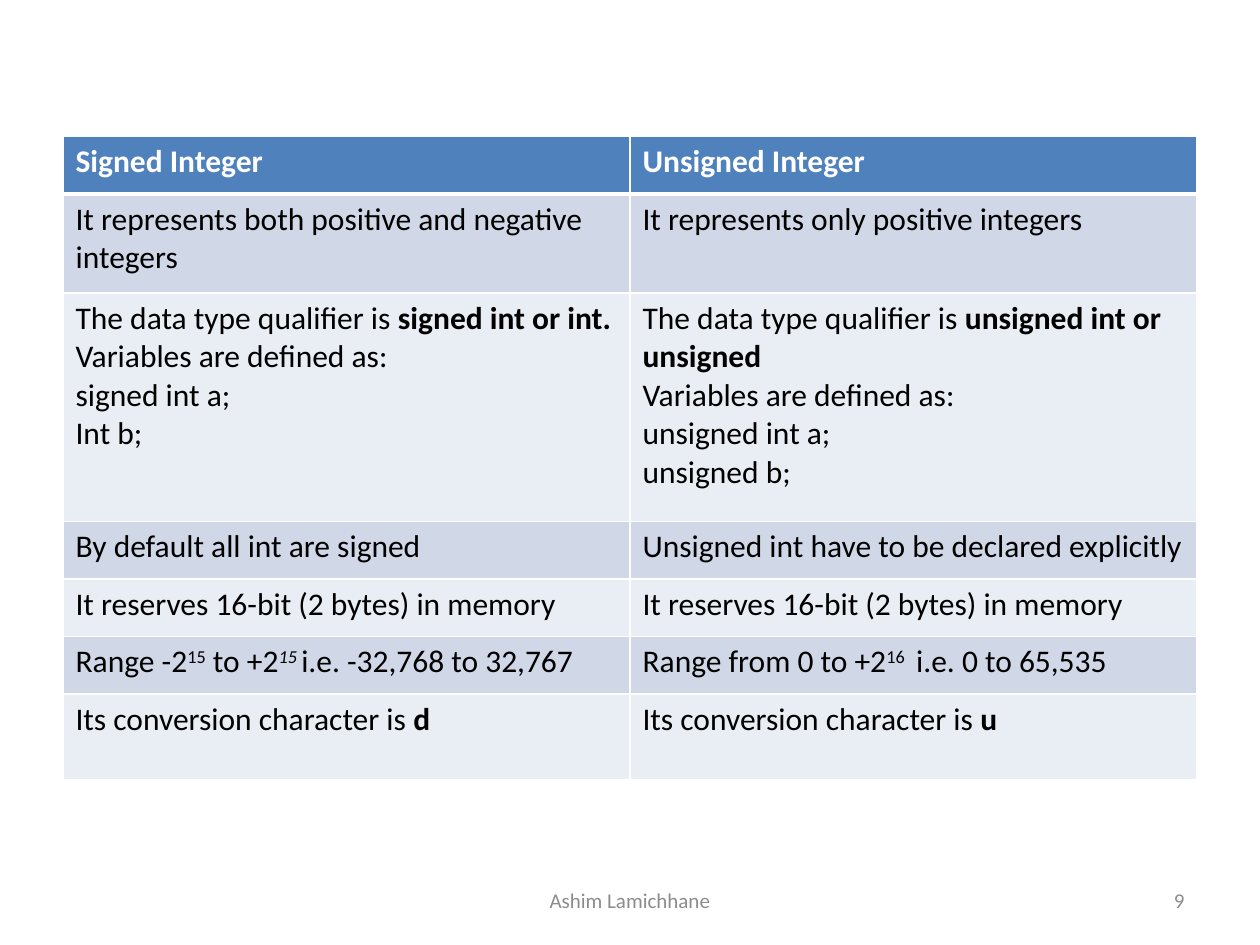
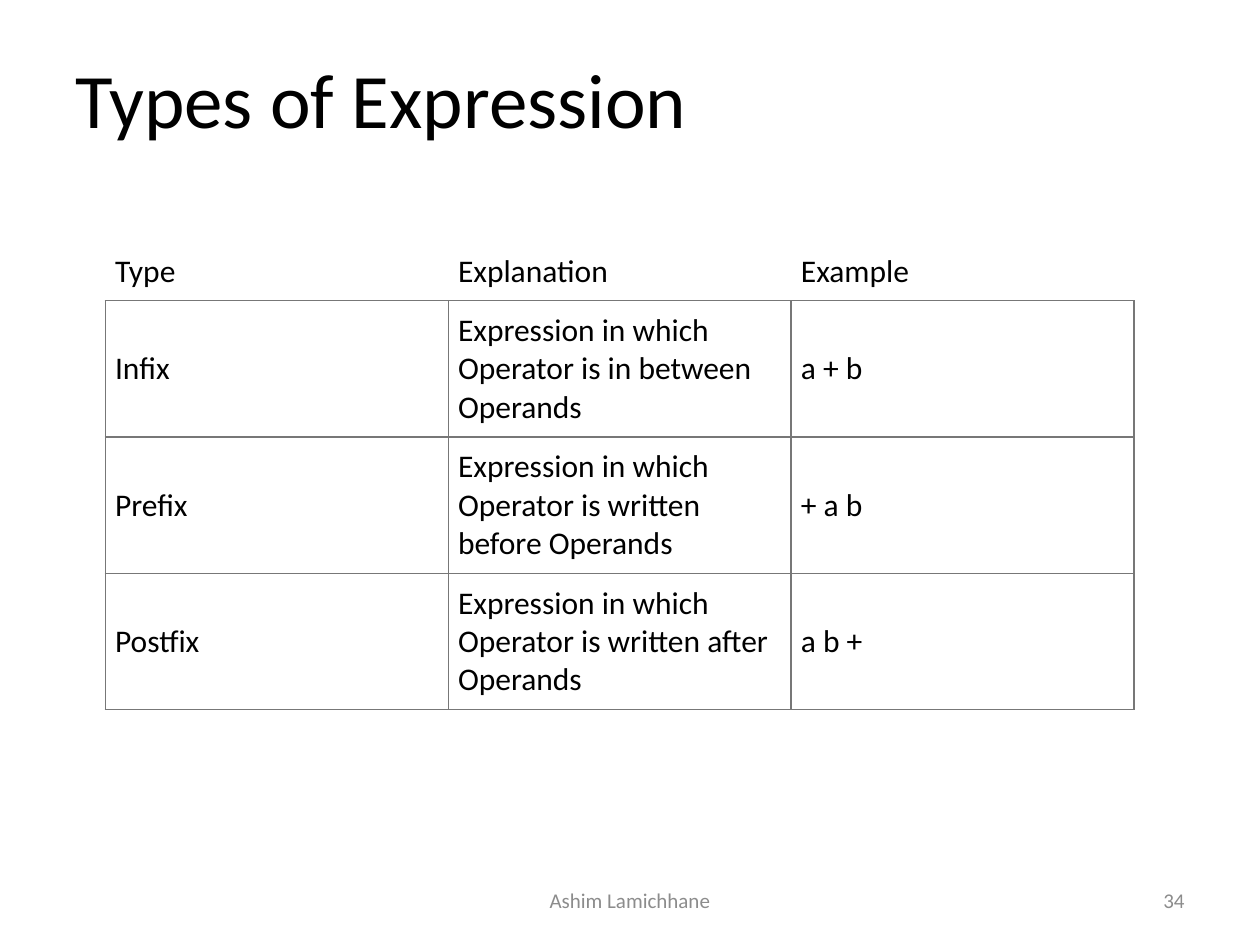
from lxml import etree
from pptx import Presentation
from pptx import util as u
from pptx.dml.color import RGBColor
from pptx.enum import text
from pptx.oxml.ns import qn

FONT = "Calibri"
COLORS = {
    "header": "4F81BD", "band dark": "D0D8E8", "band light": "E9EDF4",
    "white": "FFFFFF", "black": "000000", "footer": "8C8C8C", "grid": "777777",
}
AUTHOR = "Ashim Lamichhane"

# A cell is a list of paragraphs; a paragraph is a list of (text, style) runs or one string.
INTEGER_ROWS = [
    (["Signed Integer"], ["Unsigned Integer"]),
    (["It represents both positive and negative integers"],
     ["It represents only positive integers"]),
    ([[("The data type qualifier is ", ""), ("signed int or int.", "bold")],
      "Variables are defined as:", "signed int a;", "Int b;"],
     [[("The data type qualifier is ", ""), ("unsigned int or unsigned", "bold")],
      "Variables are defined as:", "unsigned int a;", "unsigned b;"]),
    (["By default all int are signed"],
     ["Unsigned int have to be declared explicitly"]),
    (["It reserves 16-bit (2 bytes) in memory"],
     ["It reserves 16-bit (2 bytes) in memory"]),
    ([[("Range -2", ""), ("15", "super"), (" to +2", ""), ("15 ", "super italic"),
       ("i.e. -32,768 to 32,767", "")]],
     [[("Range from 0 to +2", ""), ("16 ", "super"), (" i.e. 0 to 65,535", "")]]),
    ([[("Its conversion character is ", ""), ("d", "bold")]],
     [[("Its conversion character is ", ""), ("u", "bold")]]),
]
INTEGER_HEIGHTS = [1.16, 2, 4.6, 1.16, 1.16, 1.16, 1.73]

EXPRESSION_ROWS = [
    (["Type"], ["Explanation"], ["Example"]),
    (["Infix"], ["Expression in which Operator is in between Operands"], ["a + b"]),
    (["Prefix"], ["Expression in which Operator is written before Operands"], ["+ a b"]),
    (["Postfix"], ["Expression in which Operator is written after Operands"], ["a b +"]),
]
EXPRESSION_HEIGHTS = [1.18] + [2.75] * 3


def rgb(name):
    return RGBColor.from_string(COLORS[name])


def write(frame, paragraphs, size, color, align=text.PP_ALIGN.LEFT, bold=False):
    for index, runs in enumerate(paragraphs):
        paragraph = frame.add_paragraph() if index else frame.paragraphs[0]
        paragraph.alignment = align
        font = paragraph.font
        font.name, font.size, font.bold = FONT, u.Pt(size), bold
        font.color.rgb = rgb(color)
        for words, style in [(runs, "")] if isinstance(runs, str) else runs:
            run = paragraph.add_run()
            run.text = words
            if "bold" in style:
                run.font.bold = True
            if "italic" in style:
                run.font.italic = True
            if "super" in style:
                run._r.get_or_add_rPr().set("baseline", "30000")


def add_text(slide, words, left, top, width, height, size, color, align):
    box = slide.shapes.add_textbox(u.Cm(left), u.Cm(top), u.Cm(width), u.Cm(height))
    frame = box.text_frame
    frame.word_wrap = True
    frame.vertical_anchor = text.MSO_ANCHOR.MIDDLE
    write(frame, [words], size, color, align)


def add_footer(slide, number):
    add_text(slide, AUTHOR, 8.68, 17.65, 8.04, 1.01, 12, "footer", text.PP_ALIGN.CENTER)
    add_text(slide, str(number), 18.2, 17.65, 5.93, 1.01, 12, "footer", text.PP_ALIGN.RIGHT)


def set_borders(cell, color, widths):
    """Draw the left, right, top and bottom borders; a width of 0 hides one."""
    properties = cell._tc.get_or_add_tcPr()
    for side, width in zip("LRTB", widths):
        line = etree.SubElement(properties, qn(f"a:ln{side}"), w=str(u.Pt(width)))
        if width:
            fill = etree.SubElement(line, qn("a:solidFill"))
            etree.SubElement(fill, qn("a:srgbClr"), val=COLORS[color])
        else:
            etree.SubElement(line, qn("a:noFill"))


def add_table(slide, rows, left, top, width, heights, look):
    """Build a table; look(row index) gives its cells' fill, text and border settings."""
    table = slide.shapes.add_table(
        len(rows), len(rows[0]), u.Cm(left), u.Cm(top), u.Cm(width), u.Cm(sum(heights))).table
    table.first_row = table.horz_banding = False
    for index, (row, height) in enumerate(zip(rows, heights)):
        table.rows[index].height = u.Cm(height)
        style = look(index)
        for column, paragraphs in enumerate(row):
            cell = table.cell(index, column)
            set_borders(cell, style["line"], style["widths"])
            cell.fill.solid()
            cell.fill.fore_color.rgb = rgb(style["fill"])
            if "margin" in style:
                cell.vertical_anchor = text.MSO_ANCHOR.MIDDLE
                cell.margin_left = cell.margin_right = u.Cm(style["margin"])
                cell.margin_top = cell.margin_bottom = u.Cm(style["margin"])
            write(cell.text_frame, paragraphs, 18, style["color"], bold=style["bold"])


def banded_look(index):
    if index == 0:
        return {"fill": "header", "color": "white", "bold": True,
                "line": "white", "widths": (1, 1, 1, 3)}
    return {"fill": "band dark" if index % 2 else "band light", "color": "black", "bold": False,
            "line": "white", "widths": (1, 1, 3 if index == 1 else 1, 1)}


def grid_look(index):
    return {"fill": "white", "color": "black", "bold": False, "margin": 0.2, "line": "grid",
            "widths": (0.75,) * 4 if index else (0, 0, 0, 0.75)}


def main():
    presentation = Presentation()
    presentation.slide_width, presentation.slide_height = u.Cm(25.4), u.Cm(19.05)
    blank = presentation.slide_layouts[6]

    integers = presentation.slides.add_slide(blank)
    add_table(integers, INTEGER_ROWS, 1.27, 2.75, 22.86, INTEGER_HEIGHTS, banded_look)
    add_footer(integers, 9)

    expressions = presentation.slides.add_slide(blank)
    add_text(expressions, "Types of Expression", 1.27, 0.76, 22.86, 2.41, 44, "black",
             text.PP_ALIGN.LEFT)
    add_table(expressions, EXPRESSION_ROWS, 2.12, 4.88, 20.74, EXPRESSION_HEIGHTS, grid_look)
    add_footer(expressions, 34)

    presentation.save("out.pptx")


if __name__ == "__main__":
    main()
